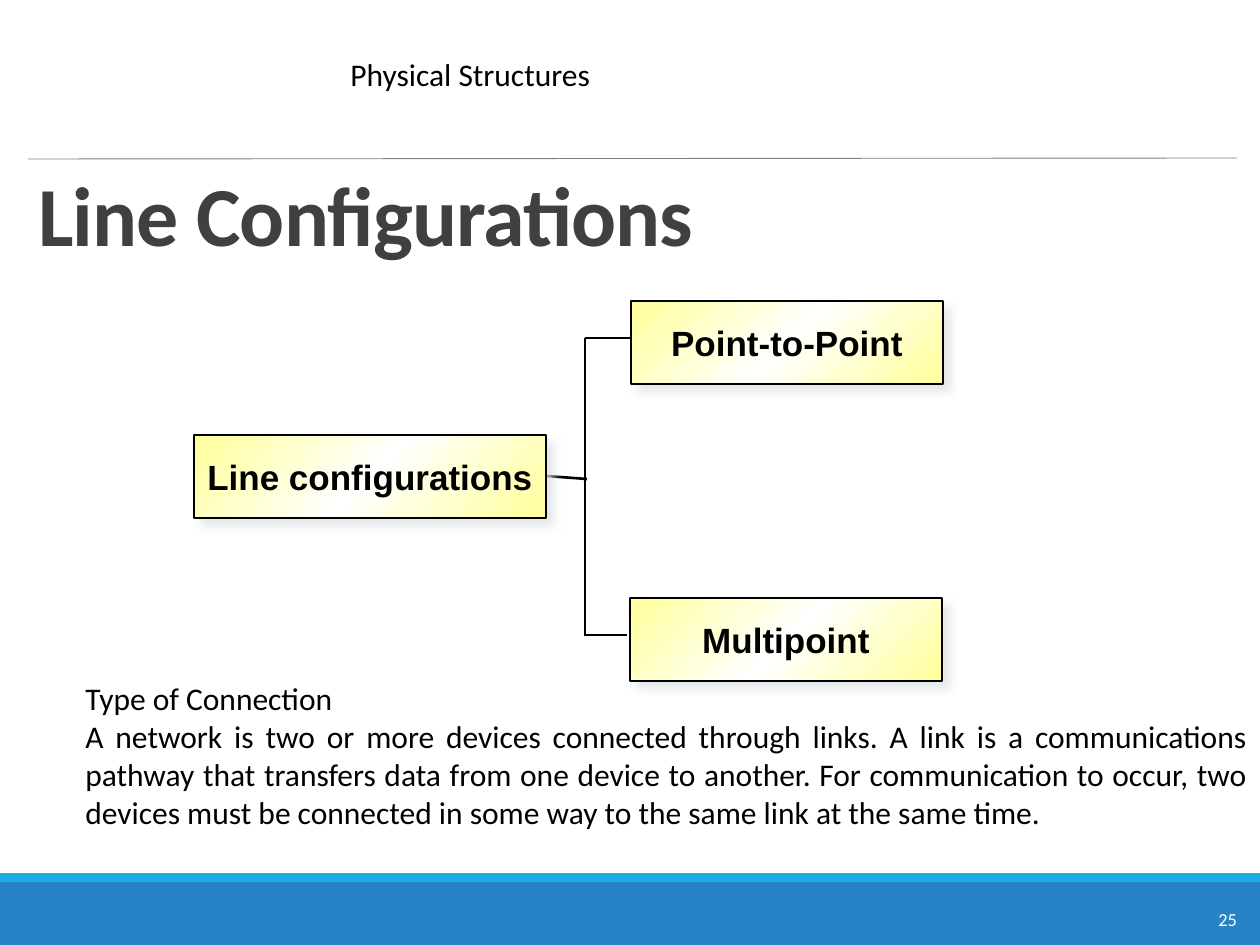
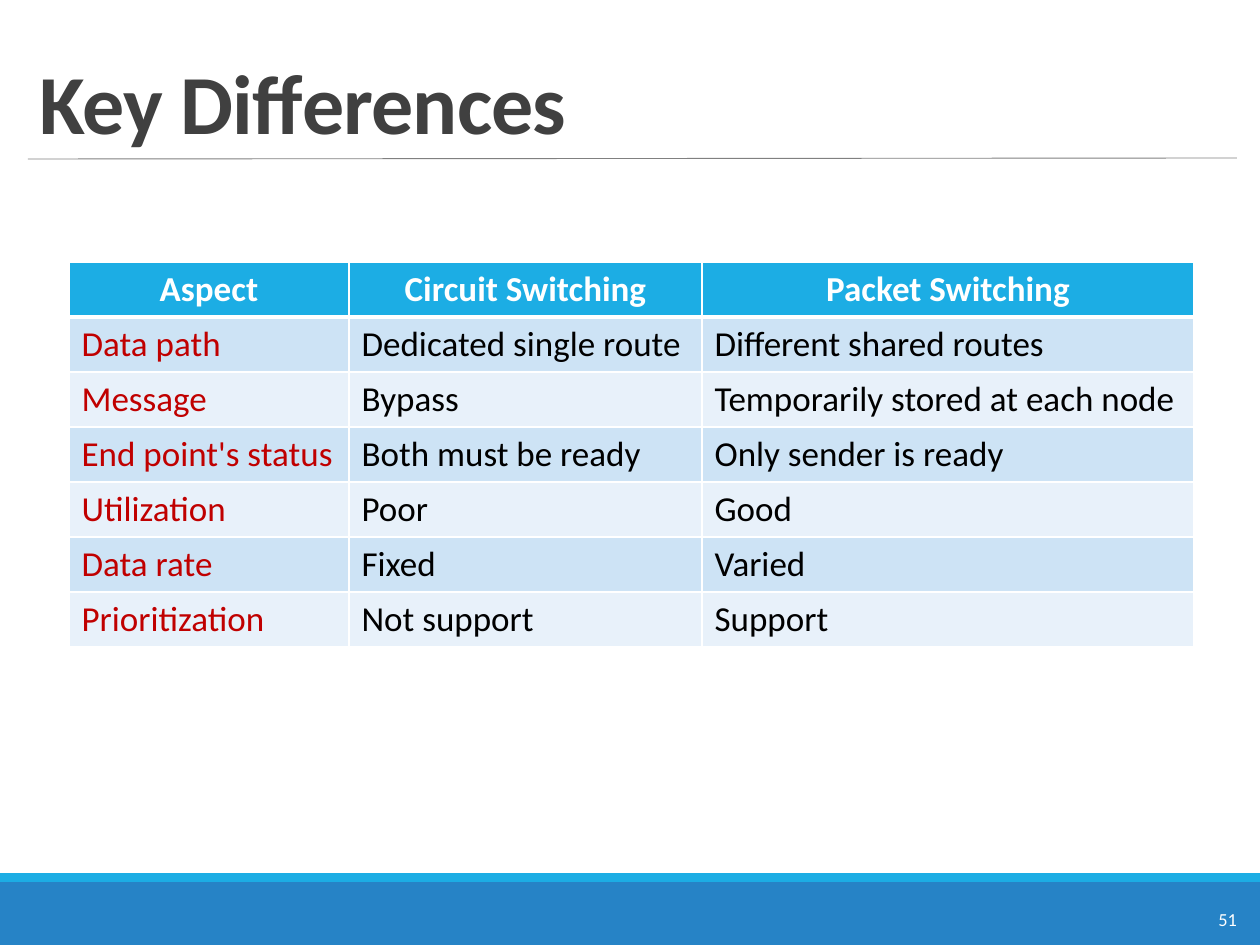
import copy
from typing import NamedTuple

import lxml.etree
import pptx
import pptx.dml.color
import pptx.enum.shapes
import pptx.enum.text
import pptx.oxml.ns
import pptx.presentation
import pptx.shapes.autoshape
import pptx.slide
import pptx.table
import pptx.text.text
import pptx.util

PX_PER_INCH = 126
SLIDE_WIDTH, SLIDE_HEIGHT = 1260, 945

RGBColor = pptx.dml.color.RGBColor
BLACK = RGBColor(0x00, 0x00, 0x00)
WHITE = RGBColor(0xFF, 0xFF, 0xFF)
TITLE_GREY = RGBColor(0x40, 0x40, 0x40)
RULE_GREY = RGBColor(0x80, 0x80, 0x80)
BAND_BLUE = RGBColor(0x26, 0x83, 0xC6)
ACCENT_BLUE = RGBColor(0x1C, 0xAD, 0xE4)
ROW_DARK = RGBColor(0xCD, 0xE3, 0xF5)
ROW_LIGHT = RGBColor(0xE8, 0xF1, 0xFA)
ASPECT_RED = RGBColor(0xC0, 0x00, 0x00)
NODE_YELLOW = RGBColor(0xFF, 0xFF, 0x99)
NODE_SHADOW = RGBColor(0xDF, 0xE3, 0xE5)

ALIGN = pptx.enum.text.PP_ALIGN
ANCHOR = pptx.enum.text.MSO_ANCHOR


class Box(NamedTuple):
    left: int
    top: int
    width: int
    height: int


class Band(NamedTuple):
    box: Box
    color: RGBColor


class Segment(NamedTuple):
    x1: int
    y1: int
    x2: int
    y2: int


class Node(NamedTuple):
    label: str
    box: Box


FOOTER_BANDS = [
    Band(Box(0, 882, SLIDE_WIDTH, 63), BAND_BLUE),
    Band(Box(0, 873, SLIDE_WIDTH, 9), ACCENT_BLUE),
]
HEADER_RULE = Segment(28, 159, 1237, 158)
PAGE_NUMBER_BOX = Box(1206, 902, 47, 35)

BRANCHES = [
    Segment(585, 338, 585, 636),
    Segment(585, 338, 631, 338),
    Segment(584, 635, 627, 635),
    Segment(546, 476, 587, 479),
]
NODES = [
    Node("Point-to-Point", Box(631, 301, 312, 83)),
    Node("Multipoint", Box(630, 598, 312, 83)),
    Node("Line configurations", Box(194, 435, 352, 83)),
]
CONNECTION_TEXT = (
    "A network is two or more devices connected through links. A link is a "
    "communications pathway that transfers data from one device to another. "
    "For communication to occur, two devices must be connected in some way "
    "to the same link at the same time."
)

COLUMN_WIDTHS = [280, 353, 492]
ROW_HEIGHT = 55
DIFFERENCES = [
    ("Aspect", "Circuit Switching", "Packet Switching"),
    ("Data path", "Dedicated single route", "Different shared routes"),
    ("Message", "Bypass", "Temporarily stored at each node"),
    ("End point's status", "Both must be ready", "Only sender is ready"),
    ("Utilization", "Poor", "Good"),
    ("Data rate", "Fixed", "Varied"),
    ("Prioritization", "Not support", "Support"),
]


def px(length: int) -> pptx.util.Emu:
    return pptx.util.Emu(round(length * 914400 / PX_PER_INCH))


def place(box: Box) -> list[pptx.util.Emu]:
    return [px(length) for length in box]


def add_xml(parent: lxml.etree._Element, tag: str, **attributes: str) -> lxml.etree._Element:
    return lxml.etree.SubElement(parent, pptx.oxml.ns.qn(tag), attributes)


def write(paragraph: pptx.text.text._Paragraph, text: str, *, size: float = 18,
          font: str = "Calibri", color: RGBColor = BLACK, bold: bool = False,
          align: ALIGN = ALIGN.LEFT, line_spacing: float = 1.0,
          tracking: float = 0) -> None:
    """Put one run in a paragraph; tracking is letter spacing in points."""
    paragraph.alignment = align
    paragraph.line_spacing = line_spacing
    run = paragraph.add_run()
    run.text = text
    run.font.size = pptx.util.Pt(size)
    run.font.name = font
    run.font.bold = bold
    run.font.color.rgb = color
    if tracking:
        run._r.get_or_add_rPr().set("spc", str(round(tracking * 100)))


def add_text_frame(slide: pptx.slide.Slide, box: Box, *, wrap: bool = True,
                   grow: bool = True) -> pptx.text.text.TextFrame:
    frame = slide.shapes.add_textbox(*place(box)).text_frame
    frame.word_wrap = wrap
    if grow:
        frame.auto_size = pptx.enum.text.MSO_AUTO_SIZE.SHAPE_TO_FIT_TEXT
    return frame


def add_rectangle(slide: pptx.slide.Slide, box: Box) -> pptx.shapes.autoshape.Shape:
    rectangle = slide.shapes.add_shape(
        pptx.enum.shapes.MSO_SHAPE.RECTANGLE, *place(box))
    rectangle.shadow.inherit = False
    return rectangle


def add_line(slide: pptx.slide.Slide, segment: Segment, color: RGBColor, width: float) -> None:
    line = slide.shapes.add_connector(
        pptx.enum.shapes.MSO_CONNECTOR.STRAIGHT, *[px(value) for value in segment])
    line.line.color.rgb = color
    line.line.width = pptx.util.Pt(width)
    add_xml(line._element.spPr, "a:effectLst")


def add_node(slide: pptx.slide.Slide, node: Node) -> None:
    """Draw a labelled box with a diagonal yellow sheen and a soft shadow."""
    shape = add_rectangle(slide, node.box)
    shape.line.color.rgb = BLACK
    shape.line.width = pptx.util.Pt(1)

    shape.fill.gradient()
    shape.fill.gradient_angle = 315
    properties = shape._element.spPr
    stop_list = properties.find(".//" + pptx.oxml.ns.qn("a:gsLst"))
    stop_list.insert(1, copy.deepcopy(stop_list[0]))
    sheen = [(0, NODE_YELLOW), (0.5, WHITE), (1, NODE_YELLOW)]
    for stop, (position, color) in zip(shape.fill.gradient_stops, sheen):
        stop.position = position
        stop.color.rgb = color

    effects = properties.find(pptx.oxml.ns.qn("a:effectLst"))
    shadow = add_xml(effects, "a:outerShdw", blurRad=str(pptx.util.Pt(5)),
                     dist=str(pptx.util.Pt(5.7)), dir="2700000",
                     algn="ctr", rotWithShape="0")
    shadow_color = add_xml(shadow, "a:srgbClr", val=str(NODE_SHADOW))
    add_xml(shadow_color, "a:alpha", val="75000")

    frame = shape.text_frame
    frame.word_wrap = False
    frame.vertical_anchor = ANCHOR.MIDDLE
    write(frame.paragraphs[0], node.label, size=20, font="Arial", bold=True,
          align=ALIGN.CENTER)


def add_base_slide(deck: pptx.presentation.Presentation, title: str, title_box: Box,
                   page: int) -> pptx.slide.Slide:
    """Add a slide with the shared bands, rule, page number and title."""
    slide = deck.slides.add_slide(deck.slide_layouts[6])
    for band in FOOTER_BANDS:
        strip = add_rectangle(slide, band.box)
        strip.fill.solid()
        strip.fill.fore_color.rgb = band.color
        strip.line.fill.background()
    add_line(slide, HEADER_RULE, RULE_GREY, 0.5)
    number = add_text_frame(slide, PAGE_NUMBER_BOX, wrap=False)
    write(number.paragraphs[0], str(page), size=10.5, color=WHITE)
    heading = add_text_frame(slide, title_box, grow=False)
    heading.vertical_anchor = ANCHOR.BOTTOM
    write(heading.paragraphs[0], title, size=48, color=TITLE_GREY, bold=True,
          line_spacing=0.85, tracking=-0.5)
    return slide


def set_borders(cell: pptx.table._Cell, top: float, bottom: float) -> None:
    properties = cell._tc.get_or_add_tcPr()
    for side, width in (("L", 1), ("R", 1), ("T", top), ("B", bottom)):
        border = add_xml(properties, f"a:ln{side}", w=str(pptx.util.Pt(width)))
        add_xml(add_xml(border, "a:solidFill"), "a:srgbClr", val=str(WHITE))


def add_differences_table(slide: pptx.slide.Slide, left: int, top: int) -> None:
    box = Box(left, top, sum(COLUMN_WIDTHS), ROW_HEIGHT * len(DIFFERENCES))
    table = slide.shapes.add_table(
        len(DIFFERENCES), len(COLUMN_WIDTHS), *place(box)).table
    for column, width in zip(table.columns, COLUMN_WIDTHS):
        column.width = px(width)
    for row, texts in enumerate(DIFFERENCES):
        table.rows[row].height = px(ROW_HEIGHT)
        header = row == 0
        for column, text in enumerate(texts):
            cell = table.cell(row, column)
            set_borders(cell, top=3 if row == 1 else 1, bottom=3 if header else 1)
            cell.fill.solid()
            if header:
                fill, color = ACCENT_BLUE, WHITE
            else:
                fill = ROW_DARK if row % 2 else ROW_LIGHT
                color = BLACK if column else ASPECT_RED
            cell.fill.fore_color.rgb = fill
            write(cell.text_frame.paragraphs[0], text, size=20, color=color,
                  bold=header, align=ALIGN.CENTER if header else ALIGN.LEFT)


def build_line_configurations(deck: pptx.presentation.Presentation) -> None:
    slide = add_base_slide(deck, "Line Configurations", Box(26, 144, 1210, 126), 25)
    for branch in BRANCHES:
        add_line(slide, branch, BLACK, 1.5)
    for node in NODES:
        add_node(slide, node)
    topic = add_text_frame(slide, Box(338, 49, 267, 50), wrap=False)
    write(topic.paragraphs[0], "Physical Structures")
    connection = add_text_frame(slide, Box(73, 673, 1187, 165))
    write(connection.paragraphs[0], "Type of Connection")
    write(connection.add_paragraph(), CONNECTION_TEXT, align=ALIGN.JUSTIFY)


def build_key_differences(deck: pptx.presentation.Presentation) -> None:
    slide = add_base_slide(deck, "Key Differences", Box(27, 32, 1210, 126), 51)
    add_differences_table(slide, 69, 262)


def main() -> None:
    deck = pptx.Presentation()
    deck.slide_width = px(SLIDE_WIDTH)
    deck.slide_height = px(SLIDE_HEIGHT)
    build_line_configurations(deck)
    build_key_differences(deck)
    deck.save("out.pptx")


if __name__ == "__main__":
    main()
